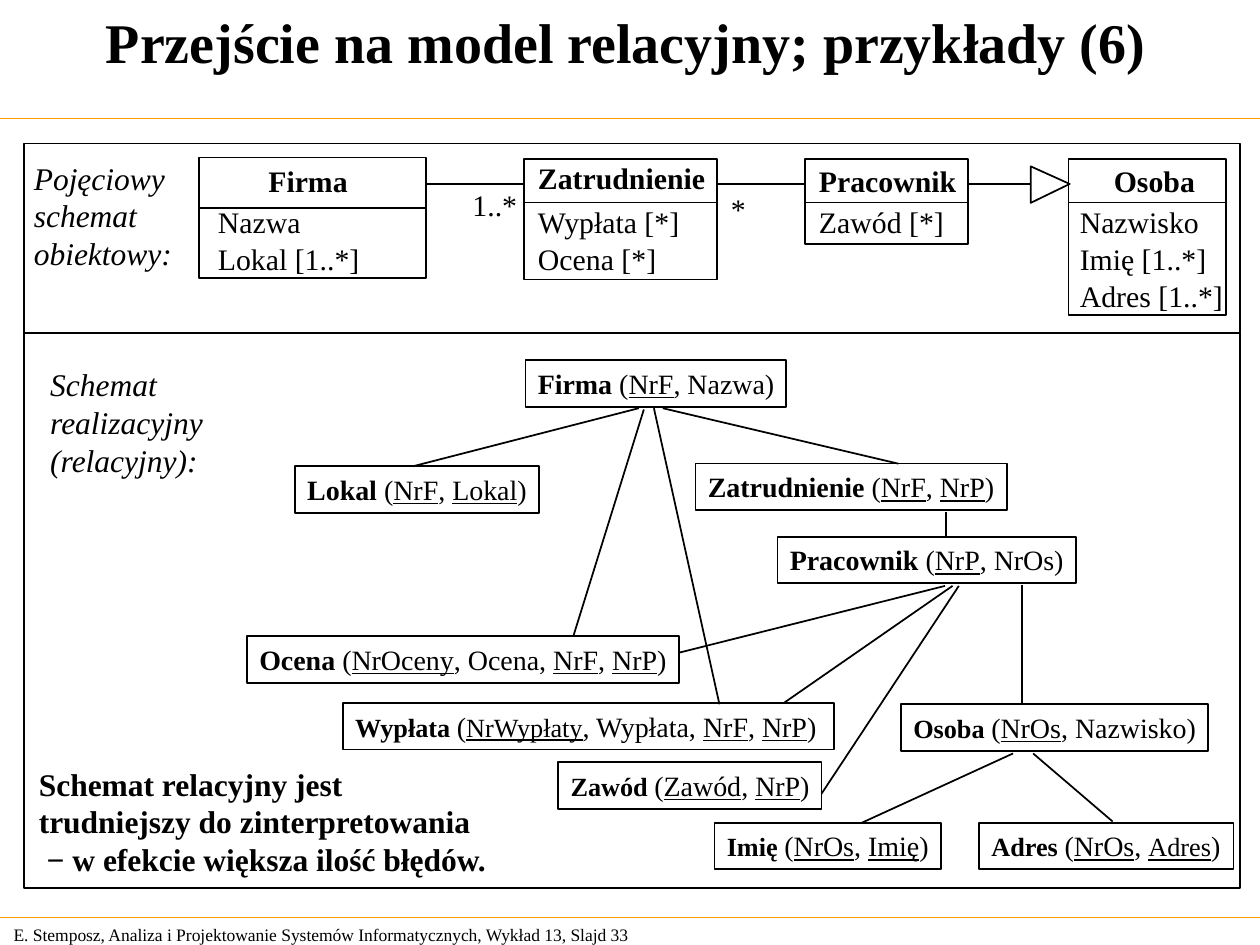
"""Build a slide that maps an object schema to a relational one."""
from dataclasses import dataclass

from pptx import Presentation
from pptx.dml.color import RGBColor
from pptx.enum.shapes import MSO_CONNECTOR, MSO_SHAPE
from pptx.enum.text import MSO_ANCHOR, MSO_AUTO_SIZE, PP_ALIGN
from pptx.oxml.ns import qn
from pptx.util import Inches, Pt

STRAIGHT = MSO_CONNECTOR.STRAIGHT
RECT = MSO_SHAPE.RECTANGLE
TOP, MIDDLE = MSO_ANCHOR.TOP, MSO_ANCHOR.MIDDLE
LEFT, CENTER = PP_ALIGN.LEFT, PP_ALIGN.CENTER
NO_FIT = MSO_AUTO_SIZE.NONE


@dataclass(frozen=True)
class Theme:
    font: str = "Times New Roman"
    ink: RGBColor = RGBColor(0, 0, 0)
    paper: RGBColor = RGBColor(255, 255, 255)
    rule: RGBColor = RGBColor(0xFF, 0x99, 0x00)
    title: int = 32
    note: int = 18
    model: int = 17
    table: int = 16
    small: int = 15
    foot: int = 10
    thin: float = 0.75
    thick: float = 1


@dataclass(frozen=True)
class Model:
    name: str
    rows: tuple[str, ...]
    left: float
    top: float
    width: float
    height: float
    name_x: float
    row_x: float
    name_y: float = 1.29
    split: float = 1.61
    weight: float = 0.75


@dataclass(frozen=True)
class Table:
    name: str
    keys: str
    left: float
    top: float
    width: float
    size: int = 16
    minor: str = ""


@dataclass(frozen=True)
class Label:
    lines: tuple[str, ...]
    box: tuple[float, float, float, float]
    size: int
    style: dict
    pad: bool = True
    anchor: MSO_ANCHOR = TOP


THEME = Theme()
GAP = 0.28

MODELS = (
    Model("Firma", ("Nazwa", "Lokal [1..*]"), 1.58, 1.25, 1.8, 0.96, 2.13, 1.73,
          split=1.65, weight=1),
    Model("Pracownik", ("Zawód [*]",), 6.39, 1.26, 1.29, 0.68, 6.5, 6.5),
    Model("Osoba", ("Nazwisko", "Imię [1..*]", "Adres [1..*]"),
          8.48, 1.26, 1.25, 1.24, 8.84, 8.57),
    Model("Zatrudnienie", ("Wypłata [*]", "Ocena [*]"),
          4.16, 1.26, 1.53, 0.96, 4.27, 4.27, name_y=1.27),
)

TABLES = (
    Table("Firma", "(|NrF|, Nazwa)", 4.17, 2.86, 2.07),
    Table("Lokal", "(|NrF|, |Lokal|)", 2.34, 3.7, 1.94),
    Table("Zatrudnienie", "(|NrF|, |NrP|)", 5.52, 3.68, 2.47),
    Table("Pracownik", "(|NrP|, NrOs)", 6.17, 4.26, 2.37),
    Table("Ocena", "(|NrOceny|, Ocena, |NrF|, |NrP|)", 1.96, 5.05, 3.43),
    Table("Wypłata", "(|NrWypłaty|, Wypłata, |NrF|, |NrP|)", 2.72, 5.58, 3.9,
          THEME.small, "NrWypłaty"),
    Table("Osoba", "(|NrOs|, Nazwisko)", 7.15, 5.59, 2.44, THEME.small),
    Table("Zawód", "(|Zawód|, |NrP|)", 4.43, 6.05, 2.09, THEME.small),
    Table("Imię", "(|NrOs|, |Imię|)", 5.67, 6.53, 1.8, THEME.small),
    Table("Adres", "(|NrOs|, |Adres|)", 7.77, 6.53, 2.02, THEME.small, "Adres"),
)

LINKS = (
    (8.2, 5.98, 8.83, 6.52), (8.04, 5.98, 6.84, 6.53), (8.11, 4.64, 8.11, 5.59),
    (7.61, 4.65, 6.52, 6.3), (7.56, 4.65, 6.22, 5.58), (7.5, 4.65, 5.39, 5.18),
    (5.19, 3.24, 5.71, 5.59), (5.11, 3.25, 4.55, 5.05), (5.07, 3.24, 3.28, 3.7),
    (5.26, 3.24, 7.13, 3.68), (7.51, 4.06, 7.51, 4.26),
)

LABELS = (
    Label(("E. Stemposz, Analiza i Projektowanie Systemów Informatycznych, "
           "Wykład 13, Slajd 33",), (0.01, 7.28, 5.24, 0.27), THEME.foot, {}, anchor=MIDDLE),
    Label(("1..*",), (3.75, 1.48, 0.36, GAP), THEME.model, {}, False),
    Label(("*",), (5.8, 1.51, 0.12, GAP), THEME.model, {}, False),
    Label(("Pojęciowy", "schemat", "obiektowy:"), (0.17, 1.21, 1.29, 1),
          THEME.note, {"italic": True}),
    Label(("Schemat", "realizacyjny", "(relacyjny):"), (0.3, 2.85, 1.42, 1),
          THEME.note, {"italic": True}),
    Label(("Schemat relacyjny jest", "trudniejszy do zinterpretowania",
           " − w efekcie większa ilość błędów."), (0.21, 6.02, 3.76, 1),
          THEME.note, {"bold": True}),
)


def style(font, size: int, **form) -> None:
    """Apply the theme font with a size and other format values."""
    for key, value in {"name": THEME.font, "size": Pt(size), **form}.items():
        setattr(font, key, value)
    font.color.rgb = THEME.ink


def set_frame(frame, pad: bool = True, anchor=TOP, wrap: bool = False) -> None:
    """Set the margins, anchor and wrapping of a text frame."""
    side, edge = (Inches(0.1), Inches(0.05)) if pad else (0, 0)
    form = {"margin_left": side, "margin_right": side, "margin_top": edge,
            "margin_bottom": edge, "vertical_anchor": anchor,
            "auto_size": NO_FIT, "word_wrap": wrap}
    for key, value in form.items():
        setattr(frame, key, value)


def add_line(shapes, ends: tuple, weight: float = THEME.thick, color=THEME.ink) -> None:
    """Draw a straight line without a shadow."""
    line = shapes.add_connector(STRAIGHT, *map(Inches, ends))
    line.line.color.rgb, line.line.width = color, Pt(weight)
    props = line.element.spPr
    props.append(props.makeelement(qn("a:effectLst"), {}))


def outline(shape, filled: bool = False) -> None:
    """Give a shape a plain black edge and an optional white fill."""
    shape.shadow.inherit = False
    shape.line.color.rgb, shape.line.width = THEME.ink, Pt(THEME.thick)
    if filled:
        shape.fill.solid()
        shape.fill.fore_color.rgb = THEME.paper
    else:
        shape.fill.background()


def add_box(shapes, *box: float, filled: bool = False):
    """Draw a rectangle and return it."""
    shape = shapes.add_shape(RECT, *map(Inches, box))
    outline(shape, filled)
    return shape


def add_label(shapes, label: Label, space: float = 0) -> None:
    """Write one or more lines of text in a text box."""
    frame = shapes.add_textbox(*map(Inches, label.box)).text_frame
    set_frame(frame, label.pad, label.anchor)
    for index, text in enumerate(label.lines):
        para = frame.add_paragraph() if index else frame.paragraphs[0]
        if index and space:
            para.space_before = Pt(space)
        run = para.add_run()
        run.text = text
        style(run.font, label.size, **label.style)


def add_model(shapes, model: Model) -> None:
    """Draw a class with its name and attributes."""
    left, width = model.left, model.width
    add_box(shapes, left, model.top, width, model.height, filled=True)
    name_box = (model.name_x, model.name_y, left + width - model.name_x - 0.02, GAP)
    row_box = (model.row_x, 1.62, left + width - model.row_x - 0.02, GAP * len(model.rows))
    add_label(shapes, Label((model.name,), name_box, THEME.model, {"bold": True}, False))
    add_label(shapes, Label(model.rows, row_box, THEME.model, {}, False), 0.7)
    add_line(shapes, (left, model.split, left + width, model.split), model.weight)


def add_table(shapes, table: Table) -> None:
    """Draw a relation with its keys underlined."""
    frame = add_box(shapes, table.left, table.top, table.width, 0.37).text_frame
    set_frame(frame)
    para = frame.paragraphs[0]
    para.alignment = LEFT
    run = para.add_run()
    run.text = table.name + " "
    style(run.font, table.size, bold=True)
    for index, text in enumerate(table.keys.split("|")):
        run = para.add_run()
        run.text = text
        size = THEME.small if text == table.minor else THEME.table
        style(run.font, size, bold=False, underline=index % 2 == 1)


def add_title(shapes, text: str) -> None:
    """Fill and place the title."""
    title = shapes.title
    title.left, title.top, title.width, title.height = map(Inches, (0, 0.01, 9.94, 0.64))
    title.text = text
    set_frame(title.text_frame, wrap=True)
    para = title.text_frame.paragraphs[0]
    para.alignment = CENTER
    style(para.runs[0].font, THEME.title, bold=True)


def add_arrow(shapes) -> None:
    """Draw the hollow head that marks inheritance."""
    tip, *rest = [tuple(map(Inches, spot)) for spot in ((8.49, 1.46), (8.18, 1.32), (8.18, 1.61))]
    head = shapes.build_freeform(*tip)
    head.add_line_segments(rest, close=True)
    outline(head.convert_to_shape(), filled=True)


def main() -> None:
    """Build and save the deck."""
    deck = Presentation()
    deck.slide_width, deck.slide_height = Inches(10), Inches(7.5)
    shapes = deck.slides.add_slide(deck.slide_layouts[5]).shapes
    add_title(shapes, "Przejście na model relacyjny; przykłady (6)")
    for y in (0.94, 7.28):
        add_line(shapes, (0, y, 10, y), THEME.thin, THEME.rule)
    for top, height in ((1.14, 1.5), (2.64, 4.41)):
        add_box(shapes, 0.19, top, 9.65, height)
    add_line(shapes, (3.39, 1.46, 8.47, 1.46), THEME.thin)
    for model in MODELS:
        add_model(shapes, model)
    add_arrow(shapes)
    for table in TABLES:
        add_table(shapes, table)
    for ends in LINKS:
        add_line(shapes, ends)
    for label in LABELS:
        add_label(shapes, label)
    deck.save("out.pptx")


if __name__ == "__main__":
    main()
